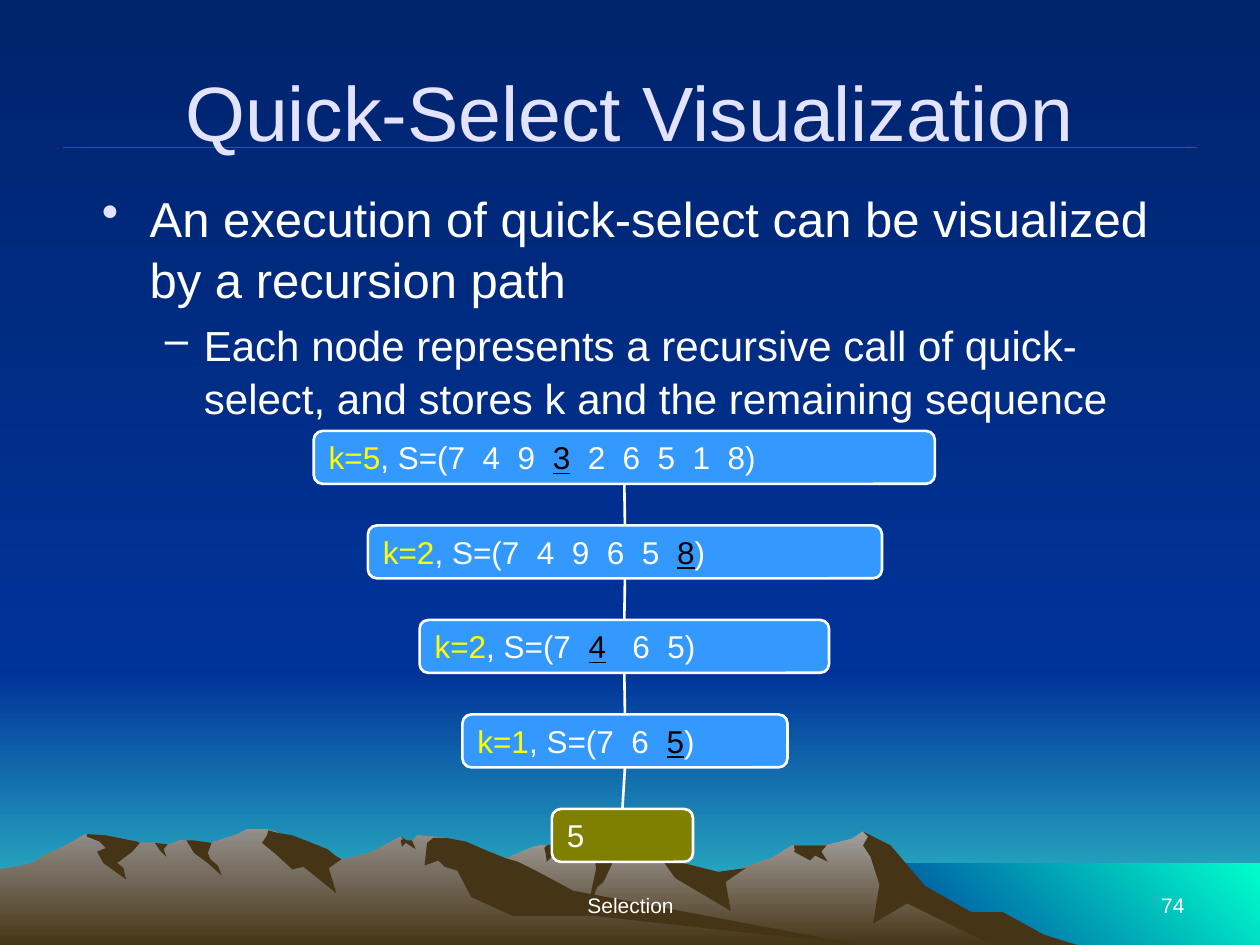
from dataclasses import dataclass

from lxml import etree
from pptx import Presentation
from pptx.dml.color import RGBColor
from pptx.enum.shapes import MSO_CONNECTOR, MSO_SHAPE
from pptx.enum.text import MSO_ANCHOR, PP_ALIGN
from pptx.oxml.ns import qn
from pptx.util import Inches, Pt

STRAIGHT = MSO_CONNECTOR.STRAIGHT
RECTANGLE, ROUNDED = MSO_SHAPE.RECTANGLE, MSO_SHAPE.ROUNDED_RECTANGLE
MIDDLE, BOTTOM = MSO_ANCHOR.MIDDLE, MSO_ANCHOR.BOTTOM
LEFT, CENTER, RIGHT = PP_ALIGN.LEFT, PP_ALIGN.CENTER, PP_ALIGN.RIGHT
TOP_SITE, BOTTOM_SITE = 0, 2
DOWNWARD, UP_RIGHT = 270, 45  # gradient angles, counter-clockwise


@dataclass(frozen=True)
class Theme:
    font: str = "Arial"
    night: str = "00246D"
    blue: str = "003399"
    horizon: str = "33CCCC"
    sea: str = "00FFCC"
    earth: str = "463416"
    far_peak: str = "A5A29F"
    near_peak: str = "938F8B"
    rule: str = "EF0129"
    title: str = "E3E3FF"
    text: str = "FFFFFF"
    rank: str = "FFFF00"
    pivot: str = "000000"
    node: str = "3399FF"
    result: str = "808000"
    title_size: int = 44
    bullet_size: int = 28
    detail_size: int = 24
    node_size: int = 18
    footer_size: int = 12


@dataclass(frozen=True)
class Node:
    left: float
    width: float
    rank: str
    before: str
    pivot: str
    after: str
    fill: str


@dataclass(frozen=True)
class Bullet:
    text: str
    mark: str
    mark_color: str
    size: int
    margin: float
    hanging: float
    level: int
    space_before: float


THEME = Theme()
NODE_TOP, NODE_STEP, NODE_HEIGHT = 3.42, 0.75, 0.42
NODES = [
    Node(2.49, 4.93, "k=5", ", S=(7  4  9  ", "3", "  2  6  5  1  8)", THEME.node),
    Node(2.92, 4.08, "k=2", ", S=(7  4  9  6  5  ", "8", ")", THEME.node),
    Node(3.33, 3.25, "k=2", ", S=(7  ", "4", "   6  5)", THEME.node),
    Node(3.67, 2.58, "k=1", ", S=(7  6  ", "5", ")", THEME.node),
    Node(4.38, 1.12, "", "5", "", "", THEME.result),
]
BULLETS = [
    Bullet("An execution of quick-select can be visualized by a recursion path",
           "•", THEME.title, THEME.bullet_size, 0.38, 0.38, 0, 0),
    Bullet("Each node represents a recursive call of quick-select, and stores k "
           "and the remaining sequence",
           "–", THEME.text, THEME.detail_size, 0.81, 0.31, 1, 4.8),
]

# Mountain outlines: x,y points in hundredths of an inch.
FAR_RANGE = """802,740 778,727 764,723 723,698 702,671 685,660 676,666 656,671 629,671
    613,681 566,697 536,690 529,676 526,673 509,669 497,671 486,673 474,661 471,658 465,658
    450,664 444,668 438,671 430,671 424,672 412,677 399,683 394,685 355,698 327,709 277,739
    258,751 821,751"""
FAR_SHADOWS = [
    """796,724 771,724 734,703 707,671 685,660 689,664 685,671 691,680 698,702 693,733
    720,717 792,752 858,751 829,742""",
    """471,658 474,662 469,664 468,671 472,680 473,690 465,727 474,704 479,700 487,683
    490,682 490,676 497,671 493,670""",
    "529,676 526,683 536,697 580,723 576,700 592,689 570,692 542,685",
    "650,671 630,671 631,675 630,676 643,683 647,679 657,684 652,676 656,671",
    "433,677 432,673 434,671 439,670 437,673 439,679 434,684",
]
NEAR_RANGE = """690,751 667,748 432,712 354,665 331,663 327,668 323,668 318,664 296,676
    279,681 271,682 260,676 236,681 223,663 219,660 212,658 196,658 189,662 168,669 160,671
    148,667 143,667 132,671 128,671 123,669 111,669 94,671 68,662 56,669 46,674 35,679
    26,685 14,688 0,690 0,751"""
NEAR_SHADOWS = [
    """212,663 208,669 219,678 232,690 241,688 267,709 261,689 271,682 266,679 260,674
    245,668 232,663 220,661 213,659""",
    """370,668 354,665 344,665 339,669 337,687 348,683 353,688 363,691 374,712 407,727
    472,727 690,751 683,750 455,707 427,692 411,684 401,681 386,675""",
    "318,667 320,666 318,664 323,667 327,667 330,674 322,669 319,672",
    """154,667 168,669 165,677 167,682 173,687 176,695 165,685 154,677 148,667""",
    "133,670 130,674 132,680 127,675 123,669",
    """109,668 111,669 105,676 93,685 98,689 100,698 82,685 77,676 84,673 79,668 69,664
    69,662 84,663 94,665""",
]


def rgb(color: str) -> RGBColor:
    return RGBColor.from_string(color)


def set_gradient(fill, start: str, end: str, angle: int = DOWNWARD) -> None:
    fill.gradient()
    fill.gradient_angle = angle
    for stop, color in zip(fill.gradient_stops, (start, end)):
        stop.color.rgb = rgb(color)


def set_font(font, size: float, color: str) -> None:
    font.name, font.size, font.color.rgb = THEME.font, Pt(size), rgb(color)


def add_band(slide, box: tuple, start: str, end: str, angle: int = DOWNWARD) -> None:
    band = slide.shapes.add_shape(RECTANGLE, *map(Inches, box))
    band.shadow.inherit = False
    band.line.fill.background()
    set_gradient(band.fill, start, end, angle)


def add_outline(slide, outline: str, peak: str = "") -> None:
    """Draw a closed outline, shaded from the peak colour if one is given."""
    points = [tuple(map(int, pair.split(","))) for pair in outline.split()]
    builder = slide.shapes.build_freeform(*points[0], scale=Inches(0.01))
    builder.add_line_segments(points[1:], close=True)
    shape = builder.convert_to_shape()
    shape.shadow.inherit = False
    shape.line.fill.background()
    if peak:
        set_gradient(shape.fill, peak, THEME.earth)
    else:
        shape.fill.solid()
        shape.fill.fore_color.rgb = rgb(THEME.earth)


def add_line(slide, start: tuple, end: tuple, color: str, width: float):
    line = slide.shapes.add_connector(STRAIGHT, *map(Inches, start + end))
    line.line.color.rgb, line.line.width = rgb(color), Pt(width)
    etree.SubElement(line._element.spPr, qn("a:effectLst"))
    return line


def add_footer(slide, box: tuple, text: str, alignment: PP_ALIGN) -> None:
    frame = slide.shapes.add_textbox(*map(Inches, box)).text_frame
    frame.word_wrap, frame.vertical_anchor = True, BOTTOM
    paragraph = frame.paragraphs[0]
    paragraph.text, paragraph.alignment = text, alignment
    set_font(paragraph.font, THEME.footer_size, THEME.text)


def format_title(slide, text: str) -> None:
    title = slide.shapes.title
    title._element.getparent().append(title._element)  # in front of the scenery
    title.left, title.top, title.width, title.height = map(Inches, (0.5, 0.25, 9, 1.25))
    title.text_frame.text = text
    title.text_frame.vertical_anchor = MIDDLE
    paragraph = title.text_frame.paragraphs[0]
    paragraph.alignment = CENTER
    set_font(paragraph.font, THEME.title_size, THEME.title)


def add_bullets(slide, bullets: list[Bullet]) -> None:
    frame = slide.shapes.add_textbox(*map(Inches, (0.71, 1.42, 8.58, 2.17))).text_frame
    frame.word_wrap = True
    for index, bullet in enumerate(bullets):
        paragraph = frame.add_paragraph() if index else frame.paragraphs[0]
        paragraph.text, paragraph.level = bullet.text, bullet.level
        paragraph.line_spacing, paragraph.space_before = 1.05, Pt(bullet.space_before)
        set_font(paragraph.font, bullet.size, THEME.text)
        properties = paragraph._p.get_or_add_pPr()
        properties.set("marL", str(Inches(bullet.margin)))
        properties.set("indent", str(-Inches(bullet.hanging)))
        mark_color = etree.Element(qn("a:buClr"))
        etree.SubElement(mark_color, qn("a:srgbClr"), val=bullet.mark_color)
        mark = etree.Element(qn("a:buChar"), char=bullet.mark)
        default_font = properties.find(qn("a:defRPr"))
        default_font.addprevious(mark_color)
        default_font.addprevious(mark)


def add_node(slide, node: Node, top: float):
    box = map(Inches, (node.left, top, node.width, NODE_HEIGHT))
    shape = slide.shapes.add_shape(ROUNDED, *box)
    shape.shadow.inherit = False
    shape.adjustments[0] = 0.167
    shape.fill.solid()
    shape.fill.fore_color.rgb = rgb(node.fill)
    shape.line.color.rgb, shape.line.width = rgb(THEME.text), Pt(1.5)
    frame = shape.text_frame
    frame.word_wrap, frame.vertical_anchor = False, MIDDLE
    paragraph = frame.paragraphs[0]
    paragraph.alignment = LEFT
    parts = [(node.rank, THEME.rank), (node.before, THEME.text),
             (node.pivot, THEME.pivot), (node.after, THEME.text)]
    for text, color in parts:
        if text:
            run = paragraph.add_run()
            run.text = text
            set_font(run.font, THEME.node_size, color)
            run.font.underline = color == THEME.pivot
    return shape


def add_recursion_path(slide, nodes: list[Node]) -> None:
    shapes = [add_node(slide, node, NODE_TOP + index * NODE_STEP)
              for index, node in enumerate(nodes)]
    for caller, callee in zip(shapes, shapes[1:]):
        link = add_line(slide, (0, 0), (0, 0), THEME.text, 1.5)
        link.begin_connect(caller, BOTTOM_SITE)
        link.end_connect(callee, TOP_SITE)


def add_scenery(slide) -> None:
    set_gradient(slide.background.fill, THEME.night, THEME.blue)
    add_band(slide, (0, 5.33, 10, 2.17), THEME.blue, THEME.horizon)
    add_band(slide, (0, 0, 10, 5.33), THEME.night, THEME.blue)
    add_band(slide, (6.83, 6.85, 3.17, 0.67), THEME.blue, THEME.sea, UP_RIGHT)
    for outline, peak, shadows in ((FAR_RANGE, THEME.far_peak, FAR_SHADOWS),
                                   (NEAR_RANGE, THEME.near_peak, NEAR_SHADOWS)):
        add_outline(slide, outline, peak)
        for shadow in shadows:
            add_outline(slide, shadow)


def main() -> None:
    presentation = Presentation()
    presentation.slide_width, presentation.slide_height = Inches(10), Inches(7.5)
    slide = presentation.slides.add_slide(presentation.slide_layouts[5])
    add_scenery(slide)
    add_line(slide, (0.5, 1.17), (9.5, 1.17), THEME.rule, 0.75)
    add_footer(slide, (3.42, 6.83, 3.17, 0.5), "Selection", CENTER)
    add_footer(slide, (7.17, 6.83, 2.33, 0.5), "74", RIGHT)
    format_title(slide, "Quick-Select Visualization")
    add_bullets(slide, BULLETS)
    add_recursion_path(slide, NODES)
    presentation.save("out.pptx")


if __name__ == "__main__":
    main()
